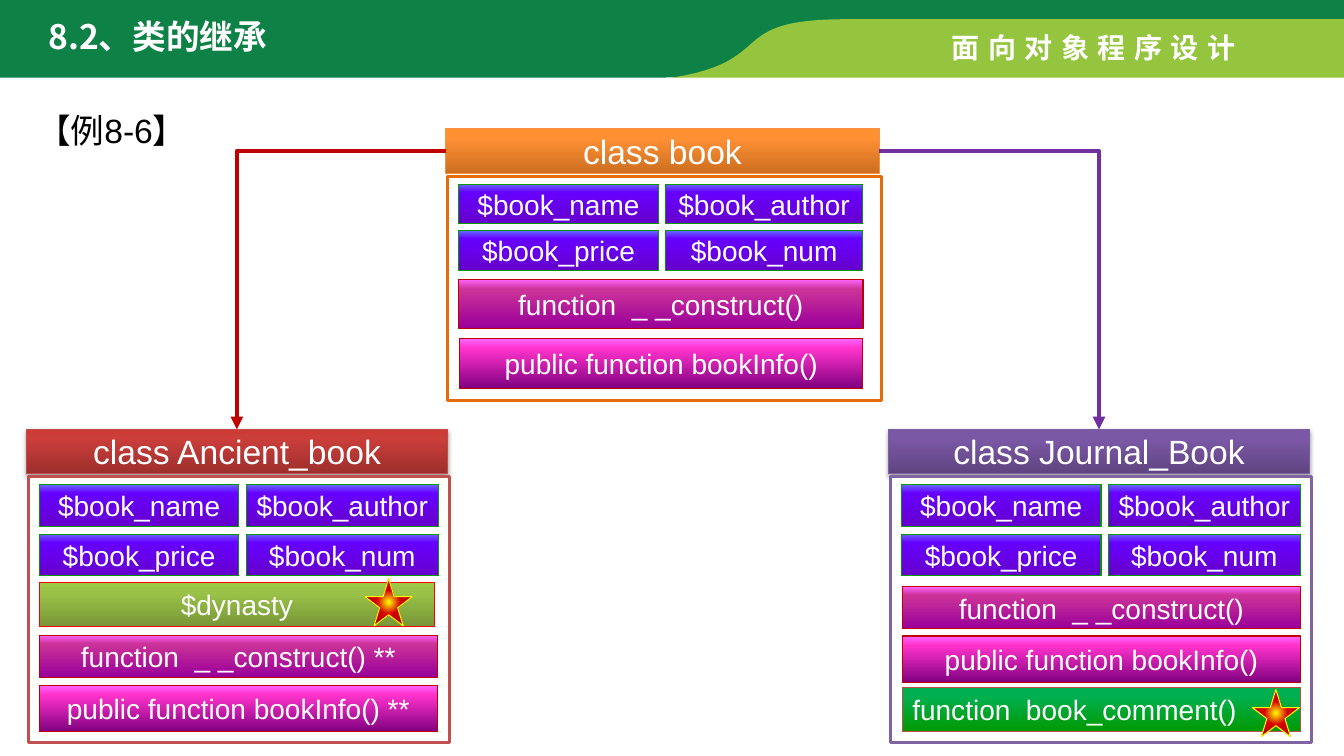
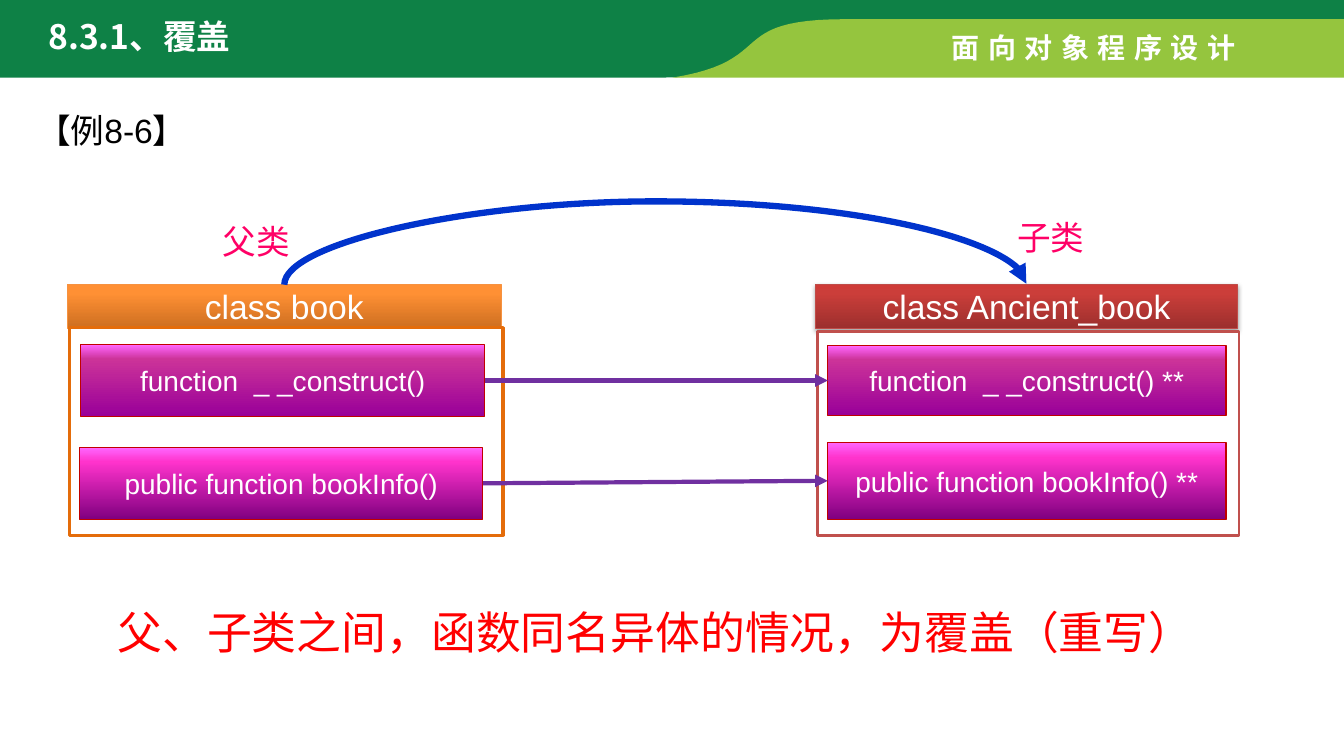
import dataclasses

import lxml.etree
import pptx
import pptx.dml.color
import pptx.enum.shapes
import pptx.enum.text
import pptx.oxml
import pptx.oxml.ns
import pptx.util

Inches = pptx.util.Inches
Pt = pptx.util.Pt
RGBColor = pptx.dml.color.RGBColor
MSO_SHAPE = pptx.enum.shapes.MSO_SHAPE
MSO_CONNECTOR = pptx.enum.shapes.MSO_CONNECTOR
PP_ALIGN = pptx.enum.text.PP_ALIGN
MSO_ANCHOR = pptx.enum.text.MSO_ANCHOR
qn = pptx.oxml.ns.qn

LATIN = "Arial"
CJK = "Noto Sans CJK SC"
WHITE = RGBColor(0xFF, 0xFF, 0xFF)
BLACK = RGBColor(0x00, 0x00, 0x00)
RED = RGBColor(0xFF, 0x00, 0x00)
YELLOW = RGBColor(0xFF, 0xFF, 0x00)
PINK = RGBColor(0xFF, 0x00, 0x66)
BLUE = RGBColor(0x00, 0x33, 0xCC)
PURPLE = RGBColor(0x70, 0x30, 0xA0)
CRIMSON = RGBColor(0xC0, 0x00, 0x00)
BRICK = RGBColor(0xBF, 0x4C, 0x48)
FIELD_EDGE = RGBColor(0x00, 0x99, 0x00)
BAND_DARK = RGBColor(0x0E, 0x81, 0x46)
BAND_LIGHT = RGBColor(0x95, 0xC5, 0x3E)


def ramp(*colours, stops=(0, 80, 100)):
    return [(stop, RGBColor.from_string(colour)) for stop, colour in zip(stops, colours)]


FIELD = ramp("6600CC", "6600FF", "6666FF")
CONSTRUCT = ramp("990099", "CC3399", "FF66FF")
METHOD = ramp("800080", "FF33CC", "FF66FF")
COMMENT = ramp("009900", "00B050", "00B050")
DYNASTY = ramp("779737", "9BC348", "9DC746")
STAR = ramp("FFFF00", "D70000", "970000", stops=(0, 35, 96))


@dataclasses.dataclass
class ClassStyle:
    header: list
    header_edge: RGBColor
    frame_edge: RGBColor
    width: float = 4.18
    frame_weight: float = 2
    raised: bool = True


BOOK = ClassStyle(ramp("CC6E20", "FF9034", "FF9136"), RGBColor(0xF6, 0x92, 0x40),
                  RGBColor(0xE4, 0x6C, 0x0A), 4.3, 2.25, False)
ANCIENT = ClassStyle(ramp("9C2F2D", "CB3E3A", "CE3B37"), BRICK, RGBColor(0xC0, 0x50, 0x4D))
JOURNAL = ClassStyle(ramp("5F4480", "7B58A6", "7C57A8"), RGBColor(0x7D, 0x60, 0xA0),
                     RGBColor(0x80, 0x64, 0xA2))


def bezier(start, first, second, end, steps=24):
    points = []
    for step in range(1, steps + 1):
        t = step / steps
        weights = ((1 - t) ** 3, 3 * t * (1 - t) ** 2, 3 * t * t * (1 - t), t ** 3)
        points.append(tuple(sum(w * p[axis] for w, p in zip(weights, (start, first, second, end)))
                            for axis in (0, 1)))
    return points


DARK_OUTLINE = [(0, -0.03), (13.33, -0.03), (13.33, 0.24), (8.27, 0.24), (8.09, 0.28),
                *bezier((8.09, 0.28), (7.27, 0.44), (7.7, 0.77), (6.55, 0.77)), (0, 0.77)]
LIGHT_OUTLINE = [(8.39, 0.19), (13.33, 0.19), (13.33, 0.77), (6.67, 0.77),
                 *bezier((6.67, 0.77), (7.73, 0.6), (7.17, 0.19), (8.39, 0.19))]


def write_text(frame, text, *, size=20, font=LATIN, colour=WHITE, bold=False,
               align=PP_ALIGN.LEFT, anchor=MSO_ANCHOR.TOP, wrap=True,
               line_spacing=None, tracking=None):
    frame.word_wrap = wrap
    frame.vertical_anchor = anchor
    frame.auto_size = pptx.enum.text.MSO_AUTO_SIZE.NONE
    paragraph = frame.paragraphs[0]
    paragraph.alignment = align
    if line_spacing:
        paragraph.line_spacing = line_spacing
    run = paragraph.add_run()
    run.text = text
    run.font.size = Pt(size)
    run.font.name = font
    run.font.bold = bold
    run.font.color.rgb = colour
    properties = run.font._element
    east_asian = lxml.etree.Element(qn("a:ea"), typeface=CJK)
    properties.find(qn("a:latin")).addnext(east_asian)
    if tracking:
        properties.set("spc", str(tracking * 100))


def paint_gradient(shape, stops, radial=False):
    shape.fill.gradient()
    gradient = shape.element.spPr.find(qn("a:gradFill"))
    for child in list(gradient):
        gradient.remove(child)
    stop_list = lxml.etree.SubElement(gradient, qn("a:gsLst"))
    for position, colour in stops:
        stop = lxml.etree.SubElement(stop_list, qn("a:gs"), pos=str(position * 1000))
        lxml.etree.SubElement(stop, qn("a:srgbClr"), val=str(colour))
    if radial:
        circle = lxml.etree.SubElement(gradient, qn("a:path"), path="circle")
        lxml.etree.SubElement(circle, qn("a:fillToRect"), l="50000", t="50000",
                              r="50000", b="50000")
    else:
        lxml.etree.SubElement(gradient, qn("a:lin"), ang="16200000", scaled="0")


class Deck:
    def __init__(self):
        self.presentation = pptx.Presentation()
        self.presentation.slide_width = Inches(13.33)
        self.presentation.slide_height = Inches(7.5)
        self.slide = None

    def start_slide(self, heading):
        self.slide = self.presentation.slides.add_slide(self.presentation.slide_layouts[5])
        self.band(DARK_OUTLINE, BAND_DARK)
        self.band(LIGHT_OUTLINE, BAND_LIGHT)
        self.label("面向对象程序设计", 9.34, 0.25, 3.12, 0.44, bold=True, tracking=6, wrap=False)
        title = self.slide.shapes.title
        title.left, title.top = Inches(0.38), Inches(0.11)
        title.width, title.height = Inches(4.81), Inches(0.5)
        write_text(title.text_frame, heading, size=24, font=CJK, bold=True)
        title.element.getparent().append(title.element)
        self.label("【例8-6】", 0.27, 0.84, 2.08, 0.71, size=24, colour=BLACK,
                   align=PP_ALIGN.JUSTIFY, line_spacing=1.5)

    def band(self, outline, colour):
        points = [(Inches(x), Inches(y)) for x, y in outline]
        builder = self.slide.shapes.build_freeform(*points[0])
        builder.add_line_segments(points[1:], close=True)
        band = builder.convert_to_shape()
        band.shadow.inherit = False
        band.fill.solid()
        band.fill.fore_color.rgb = colour
        band.line.fill.background()

    def label(self, text, left, top, width, height, **style):
        box = self.slide.shapes.add_textbox(*map(Inches, (left, top, width, height)))
        write_text(box.text_frame, text, **style)

    def shape(self, left, top, width, height, edge, weight=0.75, kind=MSO_SHAPE.RECTANGLE):
        shape = self.slide.shapes.add_shape(kind, *map(Inches, (left, top, width, height)))
        shape.shadow.inherit = False
        shape.line.color.rgb = edge
        shape.line.width = Pt(weight)
        return shape

    def member(self, text, left, top, width, height, gradient, edge=CRIMSON,
               size=20, align=PP_ALIGN.CENTER):
        member = self.shape(left, top, width, height, edge)
        paint_gradient(member, gradient)
        write_text(member.text_frame, text, size=size, align=align, anchor=MSO_ANCHOR.MIDDLE)
        return member

    def class_box(self, text, left, top, frame_top, frame_height, style):
        header = self.member(text, left, top, style.width, 0.44, style.header,
                             style.header_edge, size=24)
        frame = self.shape(left + 0.02, frame_top, style.width, frame_height,
                           style.frame_edge, style.frame_weight)
        if style.raised:
            effects = header.element.spPr.find(qn("a:effectLst"))
            shadow = lxml.etree.SubElement(effects, qn("a:outerShdw"), blurRad="40000",
                                           dist="23000", dir="5400000", rotWithShape="0")
            black = lxml.etree.SubElement(shadow, qn("a:srgbClr"), val="000000")
            lxml.etree.SubElement(black, qn("a:alpha"), val="35000")
            frame.fill.solid()
            frame.fill.fore_color.rgb = WHITE
        else:
            frame.fill.background()
        return header

    def fields(self, left, top, height, row_pitch, right_width):
        rows = (("$book_name", "$book_author"), ("$book_price", "$book_num"))
        for row, names in enumerate(rows):
            for column, (name, width) in enumerate(zip(names, (1.98, right_width))):
                self.member(name, left + 2.05 * column, top + row_pitch * row,
                            width, height, FIELD, FIELD_EDGE)

    def star(self, left, top):
        star = self.shape(left, top, 0.47, 0.47, YELLOW, kind=MSO_SHAPE.STAR_5_POINT)
        paint_gradient(star, STAR, radial=True)

    def arrow(self, source, source_side, target, target_side, colour, weight=3,
              kind=MSO_CONNECTOR.STRAIGHT):
        arrow = self.slide.shapes.add_connector(kind, 0, 0, 0, 0)
        arrow.begin_connect(source, source_side)
        arrow.end_connect(target, target_side)
        arrow.line.color.rgb = colour
        arrow.line.width = Pt(weight)
        properties = arrow.element.spPr
        lxml.etree.SubElement(properties.find(qn("a:ln")), qn("a:tailEnd"), type="triangle")
        lxml.etree.SubElement(properties, qn("a:effectLst"))
        return arrow

    def corner_arrow(self, source, source_side, target, colour):
        arrow = self.arrow(source, source_side, target, 0, colour, kind=MSO_CONNECTOR.ELBOW)
        arrow.element.spPr.find(qn("a:prstGeom")).set("prst", "bentConnector2")

    def arch_arrow(self, source, target, rise, colour):
        arrow = self.arrow(source, 0, target, 0, colour, 4.5, MSO_CONNECTOR.CURVE)
        span = arrow.end_x - arrow.begin_x
        middle = (arrow.begin_x + arrow.end_x) // 2
        depth = Inches(0.01)
        arrow.left, arrow.top = middle - depth // 2, source.top - span // 2
        arrow.width, arrow.height = depth, span
        transform = arrow.element.spPr.find(qn("a:xfrm"))
        for name, value in (("rot", "5400000"), ("flipH", "1"), ("flipV", "1")):
            transform.set(name, value)
        geometry = arrow.element.spPr.find(qn("a:prstGeom"))
        guides = geometry.find(qn("a:avLst"))
        if guides is None:
            guides = lxml.etree.SubElement(geometry, qn("a:avLst"))
        ratio = round(Inches(rise) / depth * 100000)
        lxml.etree.SubElement(guides, qn("a:gd"), name="adj1", fmla=f"val {ratio}")


def inheritance_slide(deck):
    deck.start_slide("8.2、类的继承")

    book = deck.class_box("class book", 4.42, 1.28, 1.75, 2.22, BOOK)
    deck.fields(4.55, 1.83, 0.39, 0.46, 1.96)
    deck.member("function  _ _construct()", 4.55, 2.77, 4.01, 0.49, CONSTRUCT)
    deck.member("public function bookInfo()", 4.56, 3.36, 4, 0.49, METHOD)

    ancient = deck.class_box("class Ancient_book", 0.26, 4.26, 4.73, 2.64, ANCIENT)
    deck.fields(0.39, 4.81, 0.41, 0.49, 1.91)
    deck.member("$dynasty", 0.39, 5.78, 3.92, 0.44, DYNASTY, RED)
    deck.member("function  _ _construct() **", 0.39, 6.3, 3.95, 0.42, CONSTRUCT)
    deck.member("public function bookInfo() **", 0.39, 6.8, 3.95, 0.46, METHOD)

    journal = deck.class_box("class Journal_Book", 8.81, 4.26, 4.73, 2.64, JOURNAL)
    deck.fields(8.94, 4.81, 0.41, 0.49, 1.91)
    deck.member("function  _ _construct()", 8.95, 5.82, 3.95, 0.42, CONSTRUCT)
    deck.member("public function bookInfo()", 8.95, 6.31, 3.95, 0.46, METHOD)
    deck.member("function  book_comment()", 8.95, 6.82, 3.95, 0.44, COMMENT, BRICK,
                align=PP_ALIGN.LEFT)

    deck.star(12.42, 6.84)
    deck.star(3.62, 5.74)
    deck.corner_arrow(book, 1, ancient, CRIMSON)
    deck.corner_arrow(book, 3, journal, PURPLE)


def override_slide(deck):
    deck.start_slide("8.3.1、覆盖")

    book = deck.class_box("class book", 0.67, 2.82, 3.25, 2.06, BOOK)
    book_info = deck.member("public function bookInfo()", 0.79, 4.44, 4, 0.71, METHOD)
    construct = deck.member("function  _ _construct()", 0.8, 3.42, 4.01, 0.71, CONSTRUCT)

    ancient = deck.class_box("class Ancient_book", 8.09, 2.82, 3.29, 2.02, ANCIENT)
    new_book_info = deck.member("public function bookInfo() **", 8.21, 4.39, 3.95, 0.76, METHOD)
    new_construct = deck.member("function  _ _construct() **", 8.21, 3.43, 3.95, 0.69, CONSTRUCT)

    deck.arrow(construct, 3, new_construct, 1, PURPLE)
    deck.arrow(book_info, 3, new_book_info, 1, PURPLE)
    deck.arch_arrow(book, ancient, 0.84, BLUE)

    deck.label("父类", 2.11, 2.14, 0.88, 0.5, size=24, font=CJK, colour=PINK, wrap=False)
    deck.label("子类", 9.99, 2.1, 0.88, 0.5, size=24, font=CJK, colour=PINK, wrap=False)
    deck.label("父、子类之间，函数同名异体的情况，为覆盖（重写）", 1.02, 5.95, 10.97, 0.64,
               size=32, font=CJK, colour=RED, align=PP_ALIGN.CENTER, wrap=False)


def main():
    deck = Deck()
    inheritance_slide(deck)
    override_slide(deck)
    deck.presentation.save("out.pptx")


if __name__ == "__main__":
    main()
